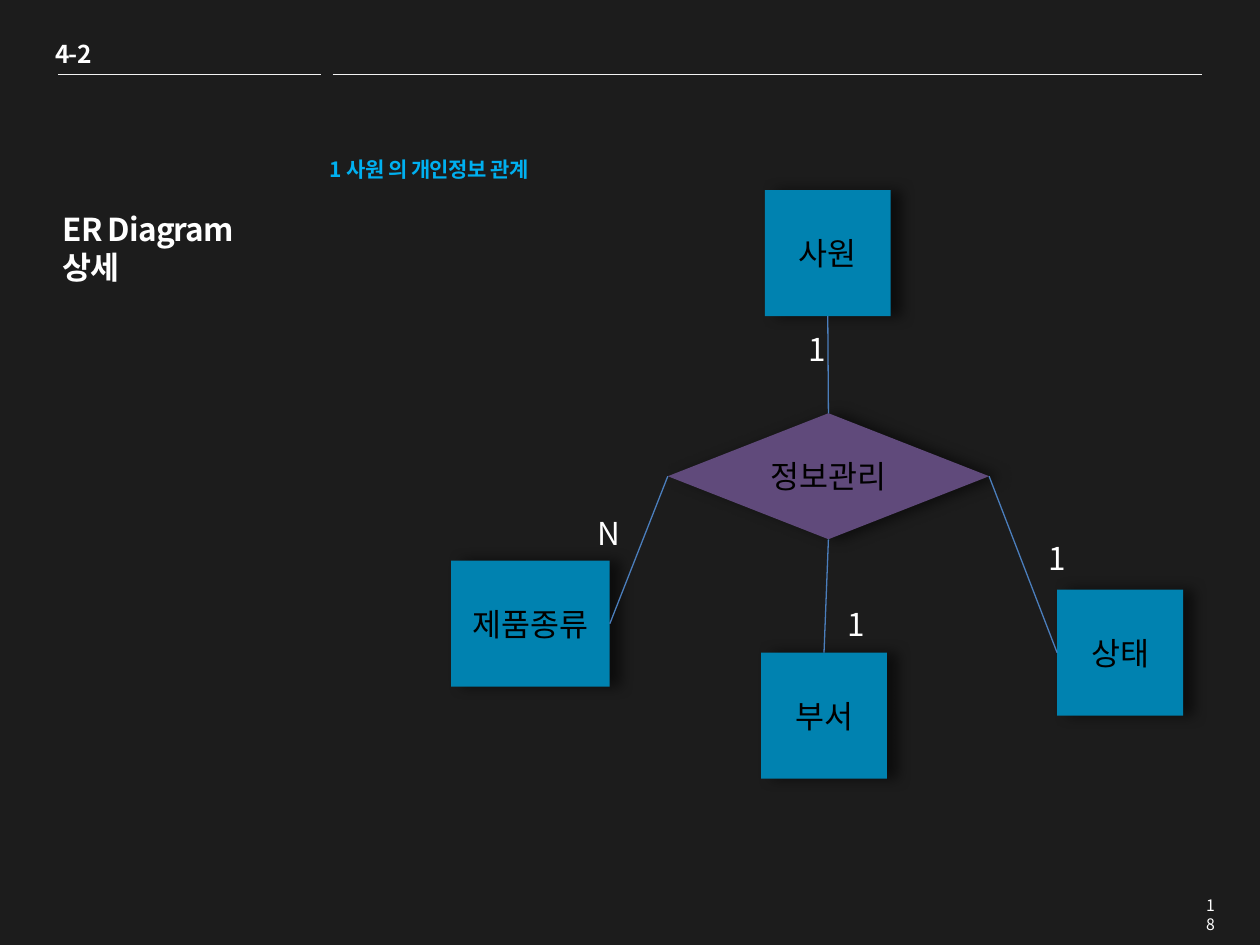
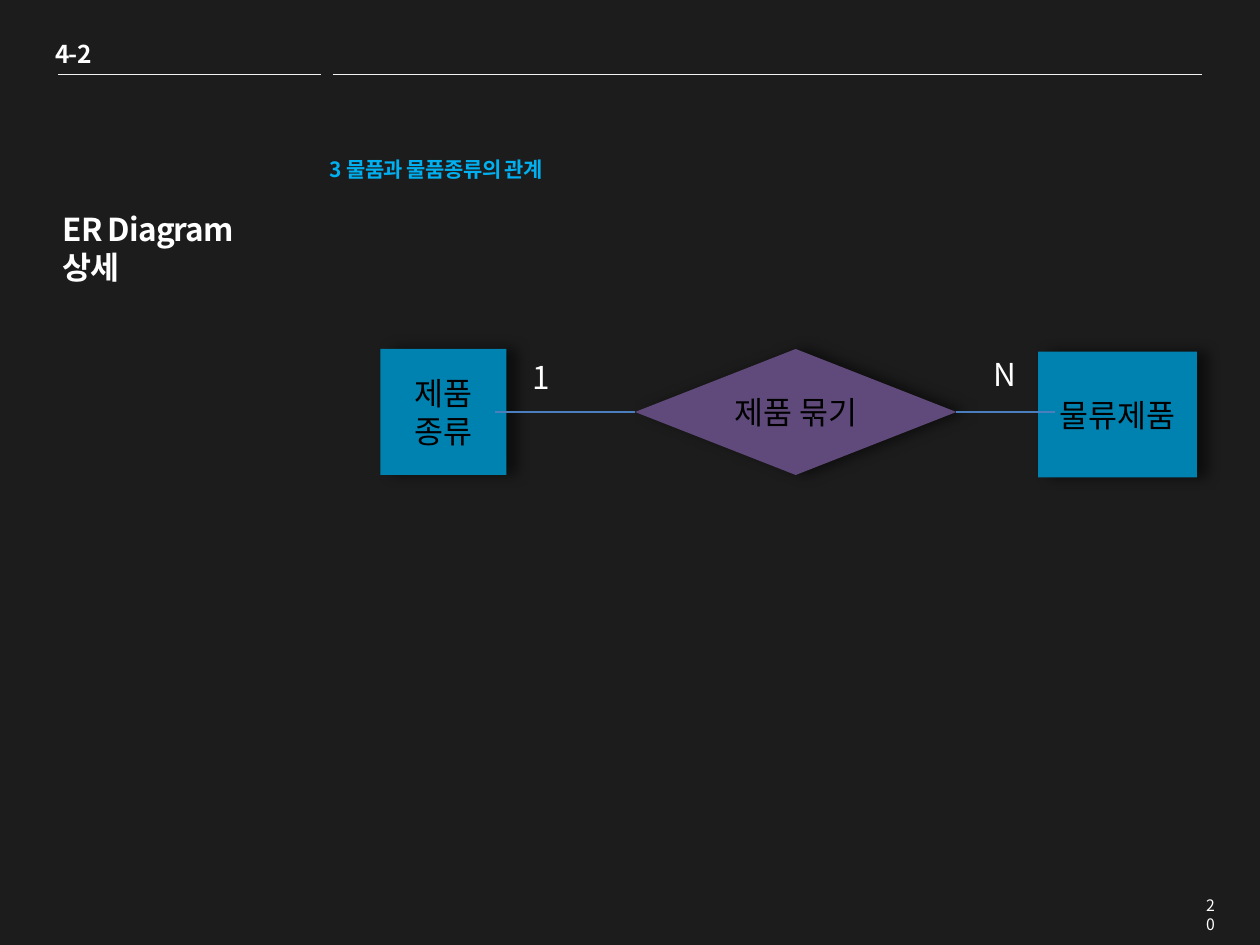
from lxml import etree
from pptx import Presentation
from pptx.dml.color import RGBColor
from pptx.enum.shapes import MSO_CONNECTOR, MSO_SHAPE
from pptx.enum.text import MSO_ANCHOR, PP_ALIGN
from pptx.oxml.ns import qn
from pptx.util import Inches, Pt

STRAIGHT = MSO_CONNECTOR.STRAIGHT
RECTANGLE = MSO_SHAPE.RECTANGLE
DIAMOND = MSO_SHAPE.DIAMOND
MIDDLE = MSO_ANCHOR.MIDDLE
LEFT = PP_ALIGN.LEFT
CENTER = PP_ALIGN.CENTER
RIGHT = PP_ALIGN.RIGHT

BACKGROUND = RGBColor(0x1C, 0x1C, 0x1C)
WHITE = RGBColor(0xFF, 0xFF, 0xFF)
BLACK = RGBColor(0x00, 0x00, 0x00)
RULE = RGBColor(0xF2, 0xF2, 0xF2)
HEADING = RGBColor(0x00, 0xB0, 0xF0)
ENTITY = RGBColor(0x00, 0x82, 0xB0)
RELATION = RGBColor(0x60, 0x4A, 0x7B)
LINK = RGBColor(0x4B, 0x7E, 0xBC)

FONT = "Noto Sans CJK KR"
COLUMNS, ROWS = 100, 75
SIDE = 10
WIDE_SIDE = 12.6
DIAMOND_WIDTH = 25.5
SITE_TOP, SITE_LEFT, SITE_BOTTOM, SITE_RIGHT = range(4)


class Deck:
    def __init__(self):
        self.presentation = Presentation()
        self.presentation.slide_width = Inches(10)
        self.presentation.slide_height = Inches(7.5)
        self.slide = None

    def column(self, count):
        return round(self.presentation.slide_width * count / COLUMNS)

    def row(self, count):
        return round(self.presentation.slide_height * count / ROWS)

    def area(self, left, top, width, height):
        return self.column(left), self.row(top), self.column(width), self.row(height)

    def set_text(self, frame, text, size, color, bold=False, spacing=0, align=LEFT):
        frame.text = text
        for paragraph in frame.paragraphs:
            paragraph.alignment = align
            for run in paragraph.runs:
                run.font.size = Pt(size)
                run.font.bold = bold
                run.font.color.rgb = color
                run.font.name = FONT
                properties = run.font._element
                etree.SubElement(properties, qn("a:ea")).set("typeface", FONT)
                if spacing:
                    properties.set("spc", str(round(spacing * 100)))

    def text(self, left, top, width, height, text, size, color=WHITE, wrap=True, **style):
        box = self.slide.shapes.add_textbox(*self.area(left, top, width, height))
        box.text_frame.word_wrap = wrap
        self.set_text(box.text_frame, text, size, color, **style)

    def line(self, begin, end, color, weight):
        connector = self.slide.shapes.add_connector(
            STRAIGHT,
            self.column(begin[0]), self.row(begin[1]),
            self.column(end[0]), self.row(end[1]),
        )
        connector.line.color.rgb = color
        connector.line.width = Pt(weight)
        etree.SubElement(connector._element.spPr, qn("a:effectLst"))
        return connector

    def join(self, begin, begin_site, end, end_site):
        link = self.line((0, 0), (0, 0), LINK, 0.75)
        link.begin_connect(begin, begin_site)
        link.end_connect(end, end_site)

    def join_from(self, point, end, end_site):
        self.line(point, point, LINK, 0.75).end_connect(end, end_site)

    def node(self, kind, left, top, width, fill, text):
        shape = self.slide.shapes.add_shape(kind, *self.area(left, top, width, SIDE))
        shape.fill.solid()
        shape.fill.fore_color.rgb = fill
        shape.line.fill.background()
        self.cast_shadow(shape)
        shape.text_frame.word_wrap = True
        shape.text_frame.vertical_anchor = MIDDLE
        self.set_text(shape.text_frame, text, 18, BLACK, align=CENTER)
        return shape

    def cast_shadow(self, shape):
        shape.shadow.inherit = False
        effects = shape._element.spPr.find(qn("a:effectLst"))
        shadow = etree.SubElement(
            effects, qn("a:outerShdw"),
            blurRad=str(Pt(8)), dist=str(Pt(6)), dir="0", algn="ctr", rotWithShape="0",
        )
        color = etree.SubElement(shadow, qn("a:srgbClr"), val=str(BLACK))
        etree.SubElement(color, qn("a:alpha"), val="55000")

    def entity(self, left, top, text, width=SIDE):
        return self.node(RECTANGLE, left, top, width, ENTITY, text)

    def relation(self, left, top, text):
        return self.node(DIAMOND, left, top, DIAMOND_WIDTH, RELATION, text)

    def cardinality(self, left, top, text):
        self.text(left, top, 3.7, 4, text, 18, wrap=False)

    def start_slide(self, heading, page):
        self.slide = self.presentation.slides.add_slide(self.presentation.slide_layouts[6])
        self.slide.background.fill.solid()
        self.slide.background.fill.fore_color.rgb = BACKGROUND
        self.text(25.2, 11.9, 28.3, 3, heading, 12, HEADING, bold=True, spacing=-0.3)
        self.text(3.4, 2.6, 4.9, 3.4, "4-2", 14, wrap=False, bold=True, spacing=-0.5)
        for begin, end in ((4.6, 25.5), (26.4, 95.4)):
            self.line((begin, 5.9), (end, 5.9), RULE, 0.25)
        self.text(94.6, 70.6, 2.8, 2.5, page, 9, align=RIGHT)
        self.text(3.5, 16.2, 22, 7, " ER Diagram\n 상세", 18, bold=True, spacing=-0.5)


def build_employee_slide(deck):
    deck.start_slide("1 사원 의 개인정보 관계", "18")
    employee = deck.entity(60.7, 15.1, "사원")
    management = deck.relation(53, 32.8, "정보관리")
    department = deck.entity(60.4, 51.8, "부서")
    status = deck.entity(83.9, 46.8, "상태")
    product_type = deck.entity(35.8, 44.5, "제품종류", WIDE_SIDE)
    deck.join(employee, SITE_BOTTOM, management, SITE_TOP)
    deck.join(management, SITE_LEFT, product_type, SITE_RIGHT)
    deck.join(management, SITE_BOTTOM, department, SITE_TOP)
    deck.join(management, SITE_RIGHT, status, SITE_LEFT)
    deck.cardinality(63.2, 25.7, "1")
    deck.cardinality(82.2, 42.3, "1")
    deck.cardinality(66.3, 47.5, "1")
    deck.cardinality(46.4, 40.3, "N")


def build_product_slide(deck):
    deck.start_slide("3 물품과 물품종류의 관계", "20")
    deck.entity(30.2, 27.7, "제품\n종류")
    bundling = deck.relation(50.4, 27.7, "제품 묶기")
    deck.entity(82.4, 27.9, "물류제품", WIDE_SIDE)
    deck.join_from((39.3, 32.7), bundling, SITE_LEFT)
    deck.join_from((83.7, 32.7), bundling, SITE_RIGHT)
    deck.cardinality(41.3, 27.9, "1")
    deck.cardinality(77.9, 27.7, "N")


def main():
    deck = Deck()
    build_employee_slide(deck)
    build_product_slide(deck)
    deck.presentation.save("out.pptx")


if __name__ == "__main__":
    main()
